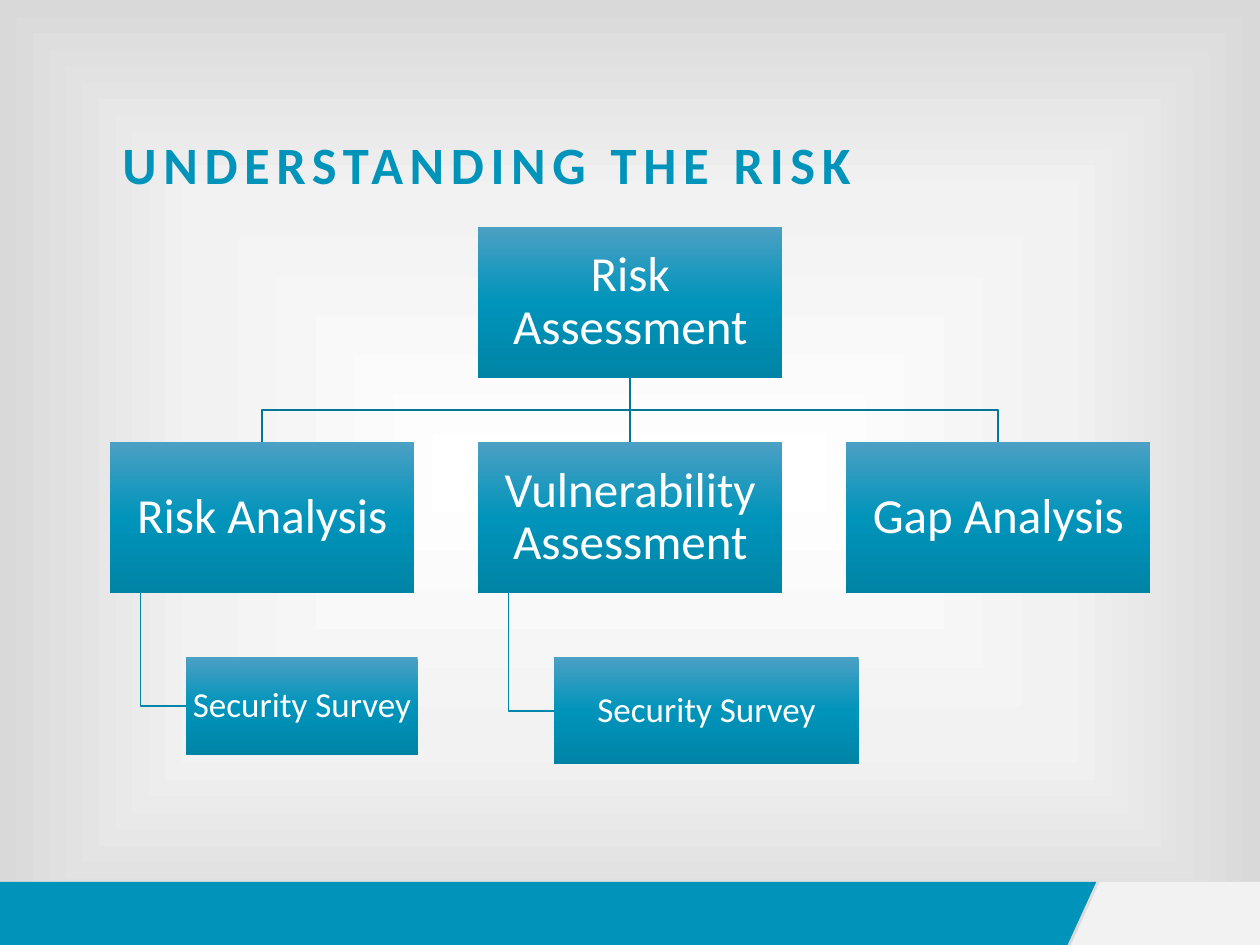
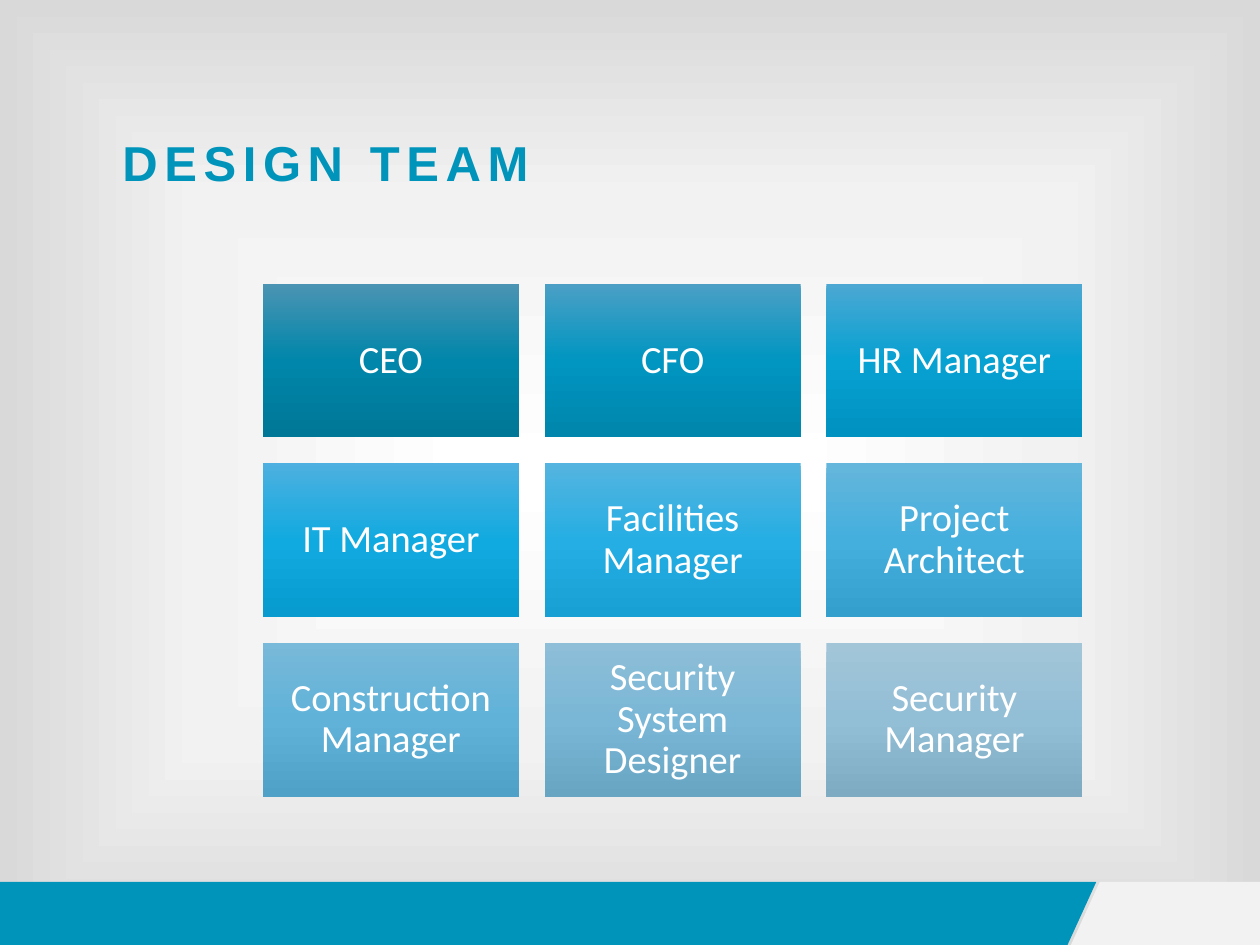
from dataclasses import dataclass

from lxml import etree
from pptx import Presentation
from pptx.dml.color import RGBColor
from pptx.enum import shapes, text
from pptx.oxml import ns
from pptx.util import Cm, Pt


@dataclass(frozen=True)
class Theme:
    accent: str = "0094BB"
    pale: str = "F2F2F2"
    white: str = "FFFFFF"
    trunk: str = "007796"
    twig: str = "0086AA"
    backdrop: tuple = ((0, "FFFFFF"), (58, "F2F2F2"), (100, "D9D9D9"))
    card: tuple = ("4BA0C3", "0094BB", "0084A6")
    body_font: str = "Calibri"
    title_size: int = 30
    short_title_size: int = 28
    main_size: int = 28
    survey_size: int = 20
    member_size: int = 22
    title_tracking: float = 3.8


@dataclass(frozen=True)
class Box:
    left: float
    top: float
    width: float
    height: float

    @property
    def center(self):
        return self.left + self.width / 2

    @property
    def middle(self):
        return self.top + self.height / 2

    @property
    def bottom(self):
        return self.top + self.height

    def lengths(self):
        return Cm(self.left), Cm(self.top), Cm(self.width), Cm(self.height)


THEME = Theme()
PAGE = Box(0, 0, 25.4, 19.05)
BAND = Box(0, 17.78, 25.4, 1.27)
TITLE = Box(2.22, 2.54, 20.96, 3.18)
ORG_CHART = Box(2.22, 4.57, 20.97, 10.84)
TEAM_GRID = Box(5.3, 5.72, 16.52, 10.34)

TEAM = [
    ("CEO", ("4B94B3", "0086AA", "007797")),
    ("CFO", ("4B9FC5", "0096C1", "0085AC")),
    ("HR Manager", ("4CA8D3", "07A1D2", "0092C1")),
    ("IT Manager", ("4DB0E0", "11AAE0", "079BCF")),
    ("Facilities Manager", ("55B4E0", "25AEE3", "189FD4")),
    ("Project Architect", ("65B6DC", "44AFDD", "349FCC")),
    ("Construction Manager", ("79B9D9", "60B2D9", "4FA1C7")),
    ("Security System Designer", ("8EBED8", "7AB7D6", "67A5C3")),
    ("Security Manager", ("A2C5D8", "92BED6", "7EAAC2")),
]


def rgb(code):
    return RGBColor.from_string(code)


def paint_gradient(owner, fill, stops, centered=False):
    fill.gradient()
    gradient = owner.xpath(".//a:gradFill")[0]
    for child in list(gradient):
        gradient.remove(child)
    stop_list = etree.SubElement(gradient, ns.qn("a:gsLst"))
    for percent, code in stops:
        stop = etree.SubElement(stop_list, ns.qn("a:gs"), pos=str(percent * 1000))
        etree.SubElement(stop, ns.qn("a:srgbClr"), val=code)
    if centered:
        shade = etree.SubElement(gradient, ns.qn("a:path"), {"path": "rect"})
        sides = dict.fromkeys("ltrb", "50000")
        etree.SubElement(shade, ns.qn("a:fillToRect"), sides)
    else:
        etree.SubElement(gradient, ns.qn("a:lin"), ang="5400000", scaled="0")


def write(frame, words, *, size, color, font=THEME.body_font, bold=False,
          tracking=0, align=text.PP_ALIGN.LEFT, anchor=text.MSO_ANCHOR.TOP,
          inset=(0.25, 0.13), leading=1.0):
    frame.word_wrap = True
    frame.vertical_anchor = anchor
    frame.margin_left = frame.margin_right = Cm(inset[0])
    frame.margin_top = frame.margin_bottom = Cm(inset[1])
    paragraph = frame.paragraphs[0]
    paragraph.alignment = align
    paragraph.line_spacing = leading
    run = paragraph.add_run()
    run.text = words
    run.font.name = font
    run.font.size = Pt(size)
    run.font.bold = bold
    run.font.color.rgb = rgb(color)
    if tracking:
        run._r.get_or_add_rPr().set("spc", str(round(tracking * 100)))


def outline(slide, points, closed):
    start, *rest = [(Cm(x), Cm(y)) for x, y in points]
    builder = slide.shapes.build_freeform(*start)
    builder.add_line_segments(rest, close=closed)
    drawn = builder.convert_to_shape()
    drawn.shadow.inherit = False
    return drawn


def add_band(slide, box):
    slant = 0.58
    blue_edge, pale_edge = box.left + 22.1, box.left + 22.17
    right = box.left + box.width
    panels = [
        (box.left, blue_edge, blue_edge - slant, box.left, THEME.accent),
        (pale_edge, right, right, pale_edge - slant, THEME.pale),
    ]
    for top_left, top_right, low_right, low_left, color in panels:
        panel = outline(slide, [(top_left, box.top), (top_right, box.top),
                                (low_right, box.bottom), (low_left, box.bottom)], True)
        panel.fill.solid()
        panel.fill.fore_color.rgb = rgb(color)
        panel.line.fill.background()


def add_title(slide, box, words, **style):
    frame = slide.shapes.add_textbox(*box.lengths()).text_frame
    write(frame, words, color=THEME.accent, bold=True,
          tracking=THEME.title_tracking, **style)


def add_card(slide, box, words, colors, size, inset):
    card = slide.shapes.add_shape(shapes.MSO_SHAPE.RECTANGLE, *box.lengths())
    card.shadow.inherit = False
    paint_gradient(card.element, card.fill, zip((0, 50, 100), colors))
    card.line.fill.background()
    write(card.text_frame, words, size=size, color=THEME.white,
          align=text.PP_ALIGN.CENTER, anchor=text.MSO_ANCHOR.MIDDLE,
          inset=(inset, inset), leading=0.9)


def add_branch(slide, points, color):
    if len({x for x, _ in points}) == 1:
        ends = [Cm(value) for value in points[0] + points[-1]]
        branch = slide.shapes.add_connector(shapes.MSO_CONNECTOR.STRAIGHT, *ends)
    else:
        branch = outline(slide, points, False)
        branch.fill.background()
    branch.line.color.rgb = rgb(color)
    branch.line.width = Pt(1)
    properties = branch.element.spPr
    if properties.find(ns.qn("a:effectLst")) is None:
        etree.SubElement(properties, ns.qn("a:effectLst"))


def add_org_chart(slide, box):
    gap = 1.29
    width = (box.width - 2 * gap) / 3
    height = 3.05
    column, row = width + gap, height + gap
    root = Box(box.left + column, box.top, width, height)
    studies = [Box(box.left + i * column, box.top + row, width, height)
               for i in range(3)]
    surveys = [Box(study.left + width / 4, box.top + 2 * row, *extent)
               for study, extent in zip(studies, [(4.67, 1.98), (6.14, 2.16)])]

    fork = root.bottom + gap / 2
    for study in studies:
        add_branch(slide, [(root.center, root.bottom), (root.center, fork),
                           (study.center, fork), (study.center, study.top)],
                   THEME.trunk)
    for study, survey in zip(studies, surveys):
        stem = study.left + width / 10
        add_branch(slide, [(stem, study.bottom), (stem, survey.middle),
                           (survey.left, survey.middle)], THEME.twig)

    labels = ["Risk Assessment", "Risk Analysis", "Vulnerability Assessment",
              "Gap Analysis"]
    for place, label in zip([root, *studies], labels):
        add_card(slide, place, label, THEME.card, THEME.main_size, 0.05)
    for survey in surveys:
        add_card(slide, survey, "Security Survey", THEME.card,
                 THEME.survey_size, 0.03)


def add_team_grid(slide, box, columns=3):
    gap = 0.52
    rows = -(-len(TEAM) // columns)
    width = (box.width - (columns - 1) * gap) / columns
    height = (box.height - (rows - 1) * gap) / rows
    for index, (member, colors) in enumerate(TEAM):
        row, column = divmod(index, columns)
        place = Box(box.left + column * (width + gap),
                    box.top + row * (height + gap), width, height)
        add_card(slide, place, member, colors, THEME.member_size, 0.23)


def add_page(deck):
    slide = deck.slides.add_slide(deck.slide_layouts[6])
    add_band(slide, BAND)
    return slide


def risk_slide(deck):
    slide = add_page(deck)
    add_title(slide, TITLE, "UNDERSTANDING THE RISK", size=THEME.title_size)
    add_org_chart(slide, ORG_CHART)


def team_slide(deck):
    slide = add_page(deck)
    add_team_grid(slide, TEAM_GRID)
    add_title(slide, TITLE, "DESIGN TEAM", size=THEME.short_title_size, font="Arial")


def main():
    deck = Presentation()
    deck.slide_width, deck.slide_height = Cm(PAGE.width), Cm(PAGE.height)
    master = deck.slide_master
    paint_gradient(master.element, master.background.fill, THEME.backdrop,
                   centered=True)
    risk_slide(deck)
    team_slide(deck)
    deck.save("out.pptx")


if __name__ == "__main__":
    main()
